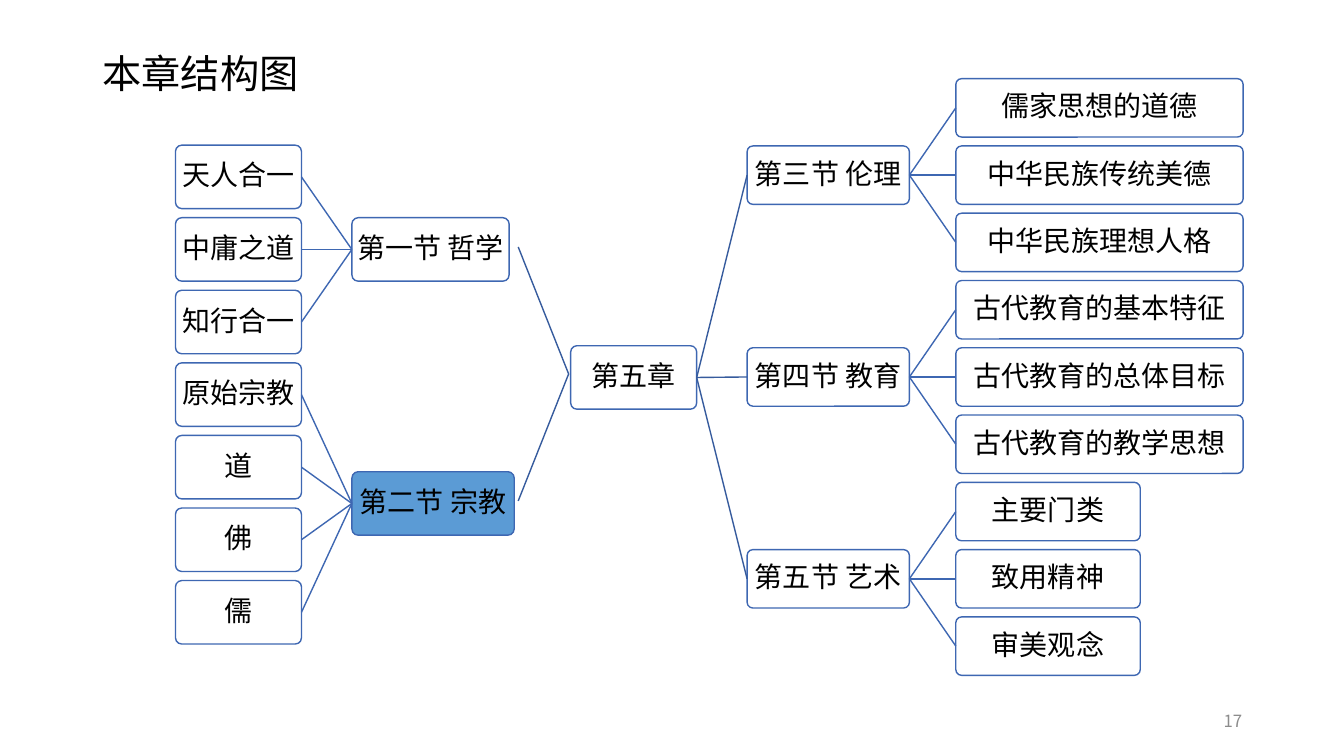
from pptx import Presentation
from pptx.dml.color import RGBColor
from pptx.enum.shapes import MSO_CONNECTOR, MSO_SHAPE
from pptx.enum.text import MSO_ANCHOR, PP_ALIGN
from pptx.oxml.ns import qn
from pptx.util import Inches, Pt
from lxml import etree

ROUNDED = MSO_SHAPE.ROUNDED_RECTANGLE
STRAIGHT = MSO_CONNECTOR.STRAIGHT
MIDDLE = MSO_ANCHOR.MIDDLE
LEFT, CENTER, RIGHT = PP_ALIGN.LEFT, PP_ALIGN.CENTER, PP_ALIGN.RIGHT
LEFT_SIDE, RIGHT_SIDE = 1, 3
FONT = "Noto Sans CJK SC"
COLORS = {
    "text": "000000",
    "number": "8C8C8C",
    "box": "FFFFFF",
    "current": "5B9BD5",
    "branch": "3E67B2",
    "trunk": "365B9D",
}

LEFT_SECTIONS = [
    ("第一节 哲学", 1.56, "box", ["天人合一", "中庸之道", "知行合一"]),
    ("第二节 宗教", 1.61, "current", ["原始宗教", "道", "佛", "儒"]),
]
RIGHT_SECTIONS = [
    ("第三节 伦理", 2.85, ["儒家思想的道德", "中华民族传统美德", "中华民族理想人格"]),
    ("第四节 教育", 2.85, ["古代教育的基本特征", "古代教育的总体目标", "古代教育的教学思想"]),
    ("第五节 艺术", 1.83, ["主要门类", "致用精神", "审美观念"]),
]
LEFT_TOP, LEFT_STEP, LEFT_HEIGHT = 1.44, 0.72, 0.63
RIGHT_TOP, RIGHT_STEP, RIGHT_HEIGHT = 0.78, 5.34 / 8, 0.58


def rgb(name):
    return RGBColor.from_string(COLORS[name])


def write(tf, text, size=20, color="text", align=CENTER, spacing=0.9, margin=0.03):
    tf.word_wrap = True
    tf.vertical_anchor = MIDDLE
    tf.margin_left = tf.margin_right = Inches(margin)
    tf.margin_top = tf.margin_bottom = Inches(0.03)
    p = tf.paragraphs[0]
    p.alignment = align
    p.line_spacing = spacing
    r = p.add_run()
    r.text = text
    r.font.size = Pt(size)
    r.font.name = FONT
    r.font.color.rgb = rgb(color)
    etree.SubElement(r.font._element, qn("a:ea"), typeface=FONT)


class Diagram:
    def __init__(self, slide):
        self.s = slide

    def text(self, text, x, y, w, h, **fmt):
        sp = self.s.shapes.add_textbox(Inches(x), Inches(y), Inches(w), Inches(h))
        write(sp.text_frame, text, margin=0.1, **fmt)

    def box(self, text, x, y, w, h, fill="box"):
        sp = self.s.shapes.add_shape(ROUNDED, Inches(x), Inches(y), Inches(w), Inches(h))
        sp.adjustments[0] = 0.1
        sp.shadow.inherit = False
        sp.fill.solid()
        sp.fill.fore_color.rgb = rgb(fill)
        sp.line.color.rgb = rgb("branch")
        sp.line.width = Pt(1)
        write(sp.text_frame, text)
        return sp

    def line(self, x1, y1, x2, y2, color):
        c = self.s.shapes.add_connector(
            STRAIGHT, Inches(x1), Inches(y1), Inches(x2), Inches(y2))
        c.line.color.rgb = rgb(color)
        c.line.width = Pt(1)
        etree.SubElement(c._element.spPr, qn("a:effectLst"))
        return c

    def join(self, start, start_side, end, end_side, color="branch"):
        c = self.line(0, 0, 1, 1, color)
        c.begin_connect(start, start_side)
        c.end_connect(end, end_side)


def main():
    prs = Presentation()
    prs.slide_width, prs.slide_height = Inches(13.33), Inches(7.5)
    d = Diagram(prs.slides.add_slide(prs.slide_layouts[6]))

    d.text("本章结构图", 0.92, 0.4, 11.5, 0.71, size=28, align=LEFT)
    d.text("17", 9.42, 6.95, 3, 0.4, size=12, color="number", align=RIGHT, spacing=1)
    chapter = d.box("第五章", 5.66, 3.43, 1.25, LEFT_HEIGHT)

    row = 0
    for title, width, fill, topics in LEFT_SECTIONS:
        y = LEFT_TOP + (row + (len(topics) - 1) / 2) * LEFT_STEP
        section = d.box(title, 3.49, y, width, LEFT_HEIGHT, fill)
        d.line(5.64, 3.71, 5.14, y + 0.29, "trunk")
        for topic in topics:
            leaf = d.box(topic, 1.74, LEFT_TOP + row * LEFT_STEP, 1.25, LEFT_HEIGHT)
            d.join(section, LEFT_SIDE, leaf, RIGHT_SIDE)
            row += 1

    row = 0
    for title, width, topics in RIGHT_SECTIONS:
        y = RIGHT_TOP + (row + (len(topics) - 1) / 2) * RIGHT_STEP
        section = d.box(title, 7.41, y, 1.61, RIGHT_HEIGHT)
        d.join(chapter, RIGHT_SIDE, section, LEFT_SIDE, "trunk")
        for topic in topics:
            leaf = d.box(topic, 9.48, RIGHT_TOP + row * RIGHT_STEP, width, RIGHT_HEIGHT)
            d.join(section, RIGHT_SIDE, leaf, LEFT_SIDE)
            row += 1

    prs.save("out.pptx")


if __name__ == "__main__":
    main()
